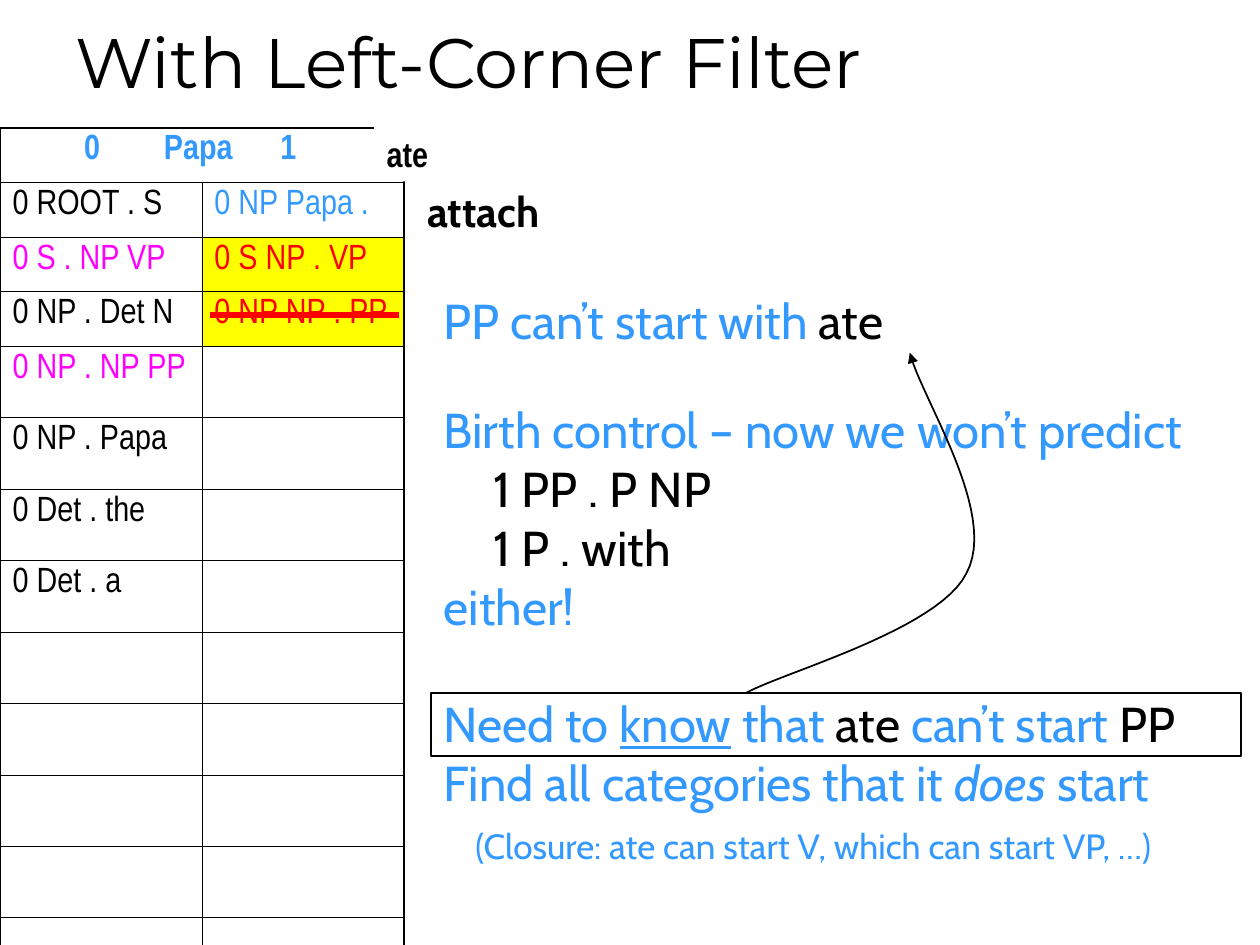
"""Build the slide on left-corner filtering in a chart parser."""
from dataclasses import dataclass

from lxml.etree import SubElement
from pptx import Presentation
from pptx.dml.color import RGBColor
from pptx.enum.shapes import MSO_CONNECTOR, MSO_SHAPE
from pptx.enum.text import MSO_ANCHOR, MSO_AUTO_SIZE, PP_ALIGN
from pptx.oxml.ns import qn
from pptx.util import Cm, Pt

BLACK = RGBColor(0, 0, 0)
WHITE = RGBColor(255, 255, 255)
BLUE = RGBColor(0x33, 0x99, 0xFF)
MAGENTA = RGBColor(255, 0, 255)
RED = RGBColor(255, 0, 0)
YELLOW = RGBColor(255, 255, 0)
NARROW, CABIN, MONTSERRAT = "Arial Narrow", "Cabin", "Montserrat"
THICK, THIN = 1.08, 0.45
COLUMN_WIDTH, ENTRY_HEIGHT, EMPTY_HEIGHT = 4.07, 1.1, 1.44
TABLE_ROWS, ENTRY_ROWS = 15, 4


@dataclass(frozen=True)
class Box:
    left: float
    top: float
    width: float
    height: float

    def lengths(self) -> tuple:
        return Cm(self.left), Cm(self.top), Cm(self.width), Cm(self.height)


@dataclass(frozen=True)
class Entry:
    row: int
    column: int
    rule: str
    color: RGBColor = BLACK


@dataclass(frozen=True)
class Run:
    text: str
    color: RGBColor = BLUE
    underline: bool = False
    italic: bool = False


@dataclass(frozen=True)
class Line:
    runs: tuple
    before: float = 0
    indent: float = 0
    size: float = 28


ENTRIES = (
    Entry(1, 0, "0 ROOT . S"),
    Entry(2, 0, "0 S . NP VP", MAGENTA),
    Entry(3, 0, "0 NP . Det N"),
    Entry(4, 0, "0 NP . NP PP", MAGENTA),
    Entry(5, 0, "0 NP . Papa"),
    Entry(6, 0, "0 Det . the"),
    Entry(7, 0, "0 Det . a"),
    Entry(1, 1, "0 NP Papa .", BLUE),
    Entry(2, 1, "0 S NP . VP", RED),
    Entry(3, 1, "0 NP NP . PP", RED),
)
LINES = (
    Line((Run("PP can’t start with "), Run("ate", BLACK))),
    Line((Run("Birth control – now we won’t predict"),), before=29),
    Line((Run("1 PP . P NP", BLACK),), indent=1),
    Line((Run("1 P . with", BLACK),), indent=1),
    Line((Run("either!"),)),
    Line((Run("Need to "), Run("know", underline=True), Run(" that "), Run("ate", BLACK),
          Run(" can’t start "), Run("PP", BLACK)), before=33.5),
    Line((Run("Find all categories that it "), Run("does", italic=True), Run(" start"))),
    Line((Run("(Closure: ate can start V, which can start VP, …)"),),
         before=7.5, indent=0.64, size=20),
)
ARROW_CURVES = (
    ((15.04, 13.97), (15.77, 13.56), (18.92, 12.7), (19.48, 11.56)),
    ((19.48, 11.56), (20.14, 10.36), (18.57, 8.03), (18.34, 7.11)),
)


def write(paragraph, text: str, *, size: float = 20, font: str = NARROW, color: RGBColor = BLACK,
          bold: bool = False, italic: bool = False, underline: bool = False) -> None:
    run = paragraph.add_run()
    run.text = text
    run.font.size, run.font.name = Pt(size), font
    run.font.color.rgb = color
    run.font.bold, run.font.italic, run.font.underline = bold, italic, underline


def add_rectangle(slide, box: Box, fill: RGBColor | None = None, outline: RGBColor | None = None):
    rectangle = slide.shapes.add_shape(MSO_SHAPE.RECTANGLE, *box.lengths())
    rectangle.shadow.inherit = False
    if fill is None:
        rectangle.fill.background()
    else:
        rectangle.fill.solid()
        rectangle.fill.fore_color.rgb = fill
    if outline is None:
        rectangle.line.fill.background()
    else:
        rectangle.line.color.rgb = outline
        rectangle.line.width = Pt(1)
    return rectangle


def set_borders(cell, left: float, right: float, top: float, bottom: float) -> None:
    properties = cell._tc.get_or_add_tcPr()
    for side, width in zip("LRTB", (left, right, top, bottom)):
        border = SubElement(properties, qn(f"a:ln{side}"), w=str(Pt(width)))
        SubElement(SubElement(border, qn("a:solidFill")), qn("a:srgbClr"), val=str(BLACK))


def add_parse_table(slide) -> None:
    heights = [ENTRY_HEIGHT] * ENTRY_ROWS + [EMPTY_HEIGHT] * (TABLE_ROWS - ENTRY_ROWS)
    box = Box(0, 2.58, 2 * COLUMN_WIDTH, sum(heights))
    table = slide.shapes.add_table(TABLE_ROWS, 2, *box.lengths()).table
    table.first_row = table.horz_banding = False
    for column in table.columns:
        column.width = Cm(COLUMN_WIDTH)
    for index, height in enumerate(heights):
        table.rows[index].height = Cm(height)
        for side in (0, 1):
            cell = table.cell(index, side)
            set_borders(cell, THIN if side else THICK, THICK if side or index == 0 else THIN,
                        THIN if index else THICK, THICK if index == TABLE_ROWS - 1 else THIN)
            cell.fill.background()
    heading = table.cell(0, 0)
    heading.merge(table.cell(0, 1))
    words = heading.text_frame.paragraphs[0]
    stops = SubElement(words._p.get_or_add_pPr(), qn("a:tabLst"))
    for position in (1.44, 3.05, 5.4):
        SubElement(stops, qn("a:tab"), pos=str(Cm(position)), algn="l")
    write(words, "\t0\tPapa\t1", color=BLUE, bold=True)
    for entry in ENTRIES:
        cell = table.cell(entry.row, entry.column)
        write(cell.text_frame.paragraphs[0], entry.rule, color=entry.color)


def place(placeholder, box: Box, anchor: MSO_ANCHOR):
    placeholder.left, placeholder.top, placeholder.width, placeholder.height = box.lengths()
    frame = placeholder.text_frame
    frame.auto_size, frame.word_wrap = MSO_AUTO_SIZE.NONE, True
    frame.vertical_anchor = anchor
    return frame


def fill_explanation(frame) -> None:
    for index, line in enumerate(LINES):
        paragraph = frame.add_paragraph() if index else frame.paragraphs[0]
        properties = paragraph._p.get_or_add_pPr()
        properties.set("marL", str(Cm(line.indent)))
        properties.set("indent", "0")
        SubElement(properties, qn("a:buNone"))
        paragraph.space_before = Pt(line.before)
        for run in line.runs:
            write(paragraph, run.text, size=line.size, font=CABIN, color=run.color,
                  italic=run.italic, underline=run.underline)


def curve_points(controls: tuple, steps: int = 24) -> list:
    points = []
    for step in range(1, steps + 1):
        t = step / steps
        weights = ((1 - t) ** 3, 3 * t * (1 - t) ** 2, 3 * t ** 2 * (1 - t), t ** 3)
        points.append(tuple(Cm(sum(w * c[axis] for w, c in zip(weights, controls)))
                            for axis in (0, 1)))
    return points


def add_arrow(slide) -> None:
    start_x, start_y = ARROW_CURVES[0][0]
    builder = slide.shapes.build_freeform(Cm(start_x), Cm(start_y))
    for controls in ARROW_CURVES:
        builder.add_line_segments(curve_points(controls), close=False)
    arrow = builder.convert_to_shape()
    arrow.shadow.inherit = False
    arrow.fill.background()
    arrow.line.color.rgb, arrow.line.width = BLACK, Pt(1)
    SubElement(arrow.line._get_or_add_ln(), qn("a:tailEnd"), type="triangle")


def add_strike(slide) -> None:
    strike = slide.shapes.add_connector(MSO_CONNECTOR.STRAIGHT, Cm(4.24), Cm(6.35), Cm(8.05), Cm(6.35))
    strike.line.color.rgb, strike.line.width = RED, Pt(3)
    SubElement(strike._element.spPr, qn("a:effectLst"))


def main() -> None:
    presentation = Presentation()
    presentation.slide_width, presentation.slide_height = Cm(25.4), Cm(19.05)
    slide = presentation.slides.add_slide(presentation.slide_layouts[1])

    title = place(slide.shapes.title, Box(1.27, -1.07, 21.59, 3.18), MSO_ANCHOR.BOTTOM)
    title.margin_bottom = Cm(0.05)
    title.paragraphs[0].alignment = PP_ALIGN.LEFT
    write(title.paragraphs[0], "With Left-Corner Filter", size=40, font=MONTSERRAT)

    for row in (0, 1):
        add_rectangle(slide, Box(4.09, 4.8 + row * 1.09, COLUMN_WIDTH, 1.09), YELLOW)
    add_parse_table(slide)

    attach = slide.shapes.add_textbox(*Box(8.36, 3.61, 3.25, 1.27).lengths()).text_frame
    attach.word_wrap = False
    write(attach.paragraphs[0], "attach", size=24, font=CABIN, bold=True)

    next_word = add_rectangle(slide, Box(7.54, 2.54, 1.35, 1.12), WHITE).text_frame
    next_word.word_wrap = False
    next_word.paragraphs[0].alignment = PP_ALIGN.CENTER
    write(next_word.paragraphs[0], "ate", bold=True)

    add_strike(slide)
    fill_explanation(place(slide.placeholders[1], Box(8.69, 5.72, 16.64, 13), MSO_ANCHOR.TOP))
    add_arrow(slide)
    add_rectangle(slide, Box(8.69, 13.97, 16.33, 1.27), outline=BLACK)
    presentation.save("out.pptx")


if __name__ == "__main__":
    main()
